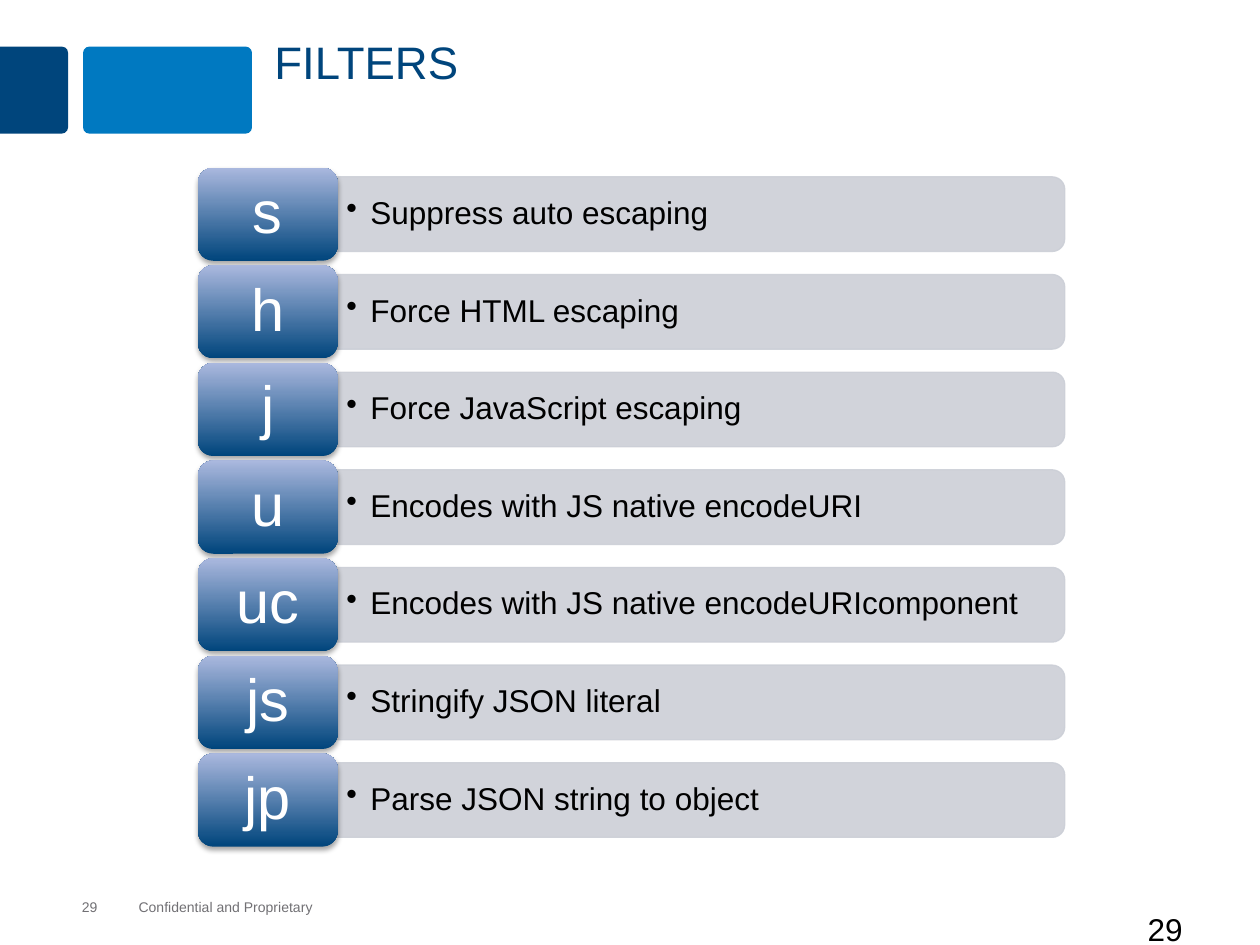
from lxml import etree
from pptx import Presentation, util as u
from pptx.dml.color import RGBColor
from pptx.enum import shapes, text
from pptx.oxml.ns import qn

COLORS = {"navy": "00457C", "blue": "0079C1", "sky": "AAB8DE", "bar": "CCCFD7",
          "grey": "717074", "black": "000000", "white": "FFFFFF"}
FILTERS = [("s", "Suppress auto escaping"),
           ("h", "Force HTML escaping"),
           ("j", "Force JavaScript escaping"),
           ("u", "Encodes with JS native encodeURI"),
           ("uc", "Encodes with JS native encodeURIcomponent"),
           ("js", "Stringify JSON literal"),
           ("jp", "Parse JSON string to object")]
SLIDE_W, SLIDE_H = u.Inches(10), u.Inches(7.5)
COLS, ROWS = 100, 75


def rgb(name):
    """Return a named colour."""
    return RGBColor.from_string(COLORS[name])


def place(box):
    """Turn a box in grid columns and rows into slide lengths."""
    x, y, w, h = box
    return [u.Emu(round(n)) for n in (x * SLIDE_W / COLS, y * SLIDE_H / ROWS,
                                      w * SLIDE_W / COLS, h * SLIDE_H / ROWS)]


def add_sub(parent, tag, **attrs):
    """Append a DrawingML element with the given attributes."""
    el = etree.SubElement(parent, qn(tag))
    for key, value in attrs.items():
        el.set(key, str(value))
    return el


def write(sp, words, size, color, inset=(0, 0), anchor=text.MSO_ANCHOR.MIDDLE,
          spacing=None, bullet=False):
    """Write one paragraph into a shape and return the paragraph."""
    tf = sp.text_frame
    tf.word_wrap = True
    tf.vertical_anchor = anchor
    tf.margin_left = tf.margin_right = u.Inches(inset[0])
    tf.margin_top = tf.margin_bottom = u.Inches(inset[1])
    p = tf.paragraphs[0]
    p.text = words
    if spacing:
        p.line_spacing = spacing
    if bullet:
        p.level = 1
        pPr = p._p.get_or_add_pPr()
        pPr.set("marL", str(u.Inches(0.19)))
        pPr.set("indent", str(u.Inches(-0.19)))
        add_sub(pPr, "a:buChar", char="•")
    p.font.size = u.Pt(size)
    p.font.name = "Arial"
    p.font.color.rgb = rgb(color)
    return p


def add_block(s, kind, box, color, radius=None):
    """Add a flat filled shape without an outline."""
    sp = s.shapes.add_shape(kind, *place(box))
    sp.shadow.inherit = False
    sp.fill.solid()
    sp.fill.fore_color.rgb = rgb(color)
    sp.line.fill.background()
    if radius is not None:
        sp.adjustments[0] = radius
    return sp


def add_right_rounded(s, box, color, radius=None):
    """Add a block whose two right corners are rounded."""
    x, y, w, h = box
    turned = (x + (w - h) / 2, y + (h - w) / 2, h, w)
    sp = add_block(s, shapes.MSO_SHAPE.ROUND_2_SAME_RECTANGLE, turned, color, radius)
    sp.rotation = 90
    return sp


def add_header(s, box):
    """Place the two brand blocks and the title."""
    x, y, w, h = box
    add_right_rounded(s, (x, y, 5.4, h), "navy", 0.09)
    add_block(s, shapes.MSO_SHAPE.ROUNDED_RECTANGLE, (x + 6.6, y, 13.4, h), "blue", 0.07)
    title = s.shapes.add_textbox(*place((x + 20.8, y - 1.2, w - 20.8, 9.1)))
    write(title, "FILTERS", 26, "navy", (0.1, 0.05), text.MSO_ANCHOR.TOP, 0.95)


def add_filter_row(s, box, key, meaning):
    """Place one filter tile with its explanation bar."""
    x, y, w, h = box
    tile_w = 11.1
    bar_box = (x + tile_w, y + h * 0.1, w - tile_w, h * 0.8)
    bar = add_right_rounded(s, bar_box, "bar")
    bar.line.color.rgb = rgb("bar")
    bar.line.width = u.Pt(0.75)
    for clr in bar._element.spPr.iter(qn("a:srgbClr")):
        add_sub(clr, "a:alpha", val=90000)

    label = s.shapes.add_textbox(*place(bar_box))
    write(label, meaning, 18, "black", (0.07, 0.04), spacing=0.9, bullet=True)

    tile = add_block(s, shapes.MSO_SHAPE.ROUNDED_RECTANGLE, (x, y, tile_w, h), "navy")
    tile.fill.gradient()
    tile.fill.gradient_angle = 90
    for stop, name in zip(tile.fill.gradient_stops, ("navy", "sky")):
        stop.color.rgb = rgb(name)
    effects = tile._element.spPr.find(qn("a:effectLst"))
    shadow = add_sub(effects, "a:outerShdw", blurRad=u.Pt(3.1), dist=u.Pt(1.8),
                     dir=5400000, rotWithShape=0)
    add_sub(add_sub(shadow, "a:srgbClr", val=COLORS["black"]), "a:alpha", val=35000)
    p = write(tile, key, 34, "white", (0.14, 0.07), spacing=0.9)
    p.alignment = text.PP_ALIGN.CENTER


def add_filter_list(s, box):
    """Stack the filter rows at an equal pitch."""
    x, y, w, h = box
    row_h = 7.4
    pitch = (h - row_h) / (len(FILTERS) - 1)
    for i, (key, meaning) in enumerate(FILTERS):
        add_filter_row(s, (x, y + i * pitch, w, row_h), key, meaning)


def add_footer(s, box):
    """Place the small footer and the large page number."""
    x, y, w, h = box
    for left, width, words in ((x, 4, "29"), (x + 4.5, 16, "Confidential and Proprietary")):
        sp = s.shapes.add_textbox(*place((left, y, width, h)))
        write(sp, words, 8, "grey")
    page = s.shapes.add_textbox(*place((x + w - 9.9, y + 0.4, 9.9, 5)))
    write(page, "29", 18, "black", (0.1, 0.05), text.MSO_ANCHOR.TOP)


def main():
    """Build and save the slide."""
    prs = Presentation()
    prs.slide_width, prs.slide_height = SLIDE_W, SLIDE_H
    s = prs.slides.add_slide(prs.slide_layouts[6])
    add_header(s, (0, 3.7, 97.5, 6.9))
    add_filter_list(s, (15.7, 13.3, 68.8, 53.9))
    add_footer(s, (6.5, 71.3, 93.5, 1.3))
    prs.save("out.pptx")


if __name__ == "__main__":
    main()
